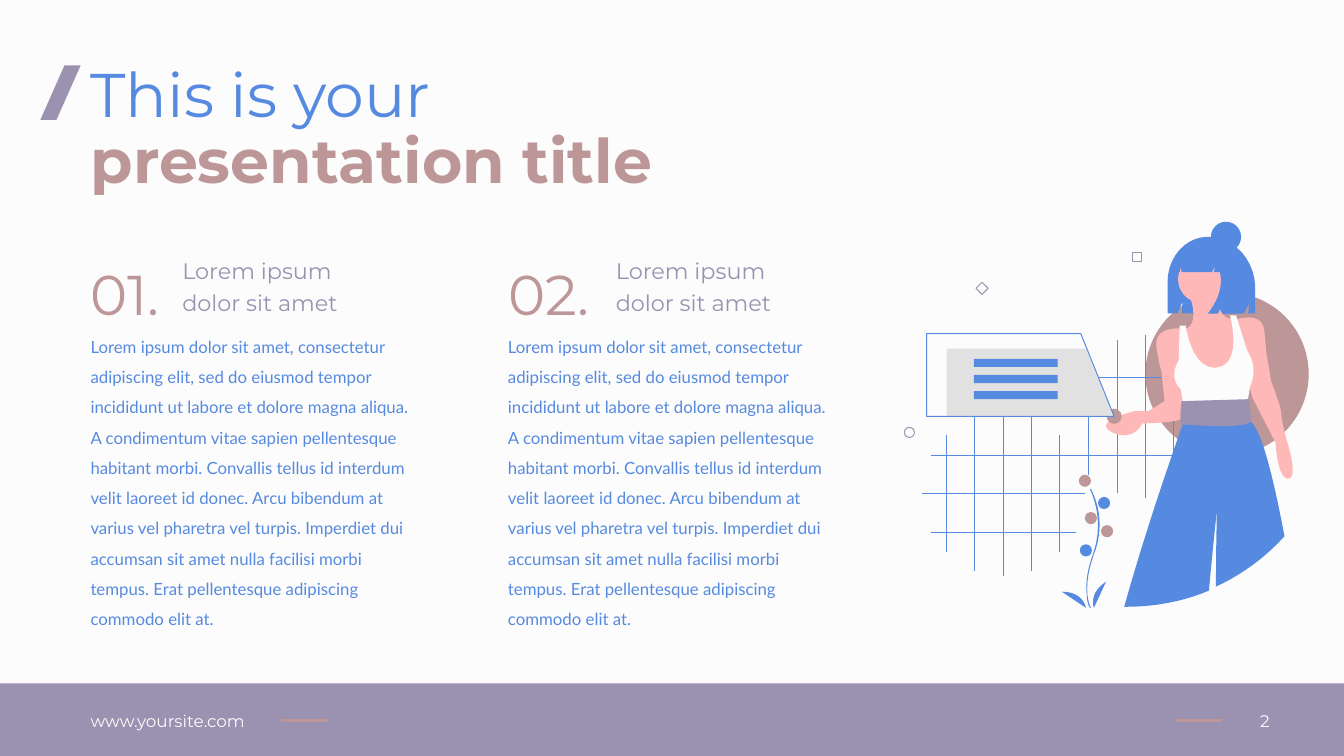
from pptx import Presentation
from pptx import util as u
from pptx.dml import color
from pptx.enum import shapes, text
from pptx.oxml import ns
from lxml import etree

BLUE, ROSE, MAUVE = "568AE0", "BD9698", "9A92B0"
SKIN, PAPER, GREY, DARK = "FFB8B8", "FCFCFC", "E1E1E1", "3F3D56"
KIND = shapes.MSO_SHAPE
HAIR = 0.72  # hairline width in points

BODY = (
    "Lorem ipsum dolor sit amet, consectetur adipiscing elit, sed do eiusmod tempor "
    "incididunt ut labore et dolore magna aliqua.\n"
    "A condimentum vitae sapien pellentesque habitant morbi. Convallis tellus id interdum "
    "velit laoreet id donec. Arcu bibendum at varius vel pharetra vel turpis. Imperdiet dui "
    "accumsan sit amet nulla facilisi morbi tempus. Erat pellentesque adipiscing commodo elit at."
)

# Outlines: M start, L line, C cubic curve
STEM = ("M 10.81 6.03 C 10.81 6.03 10.78 5.99 10.78 5.9 C 10.77 5.82 10.77 5.69 10.84 5.5 "
        "C 10.97 5.14 10.81 4.86 10.81 4.85 L 10.82 4.85 C 10.82 4.85 10.86 4.92 10.89 5.04 "
        "C 10.92 5.19 10.91 5.35 10.85 5.5 C 10.72 5.86 10.82 6.03 10.82 6.03")
LEAVES = ("M 10.85 6.03 C 10.85 6.03 10.79 5.89 10.97 5.77",
          "M 10.77 6.03 C 10.77 6.03 10.75 5.87 10.53 5.87")
BACK_HAIR = ("M 11.98 2.35 C 11.76 2.35 11.58 2.55 11.58 2.8 L 11.58 3.11 L 11.68 3.11 "
             "L 11.73 2.99 L 11.72 3.11 L 12.34 3.11 L 12.39 3.01 L 12.38 3.11 L 12.45 3.11 "
             "L 12.45 2.86 C 12.45 2.58 12.24 2.35 11.98 2.35")
NECK = ("M 11.79 2.91 C 11.79 2.91 11.92 3.21 11.75 3.27 L 11.92 3.82 L 12.2 3.81 L 12.28 3.62 "
        "L 12.26 3.34 L 12.24 3.16 C 12.24 3.16 12.06 3.2 12.08 2.89")
LEFT_ARM = ("M 11.72 3.26 C 11.72 3.26 11.44 3.23 11.47 3.44 C 11.5 3.64 11.52 3.68 11.52 3.68 "
            "L 11.55 3.98 L 11.39 4.08 L 11.25 4.08 C 11.25 4.08 10.81 4.18 11.03 4.29 "
            "C 11.25 4.39 11.33 4.2 11.33 4.2 C 11.33 4.2 11.73 4.2 11.76 4.13 "
            "C 11.78 4.07 11.72 3.26 11.72 3.26")
RIGHT_ARM = ("M 12.26 3.17 C 12.26 3.17 12.52 3.08 12.54 3.28 C 12.56 3.49 12.56 3.5 12.56 3.5 "
             "L 12.61 3.79 C 12.61 3.79 12.71 4.04 12.71 4.12 C 12.71 4.19 12.78 4.43 12.78 4.43 "
             "C 12.78 4.43 12.88 4.76 12.77 4.75 C 12.67 4.74 12.65 4.39 12.65 4.39 "
             "L 12.42 3.94 L 12.35 3.66")
TOP = ("M 11.76 3.23 L 11.7 3.23 L 11.69 3.58 C 11.69 3.58 11.58 3.73 11.71 3.86 L 11.75 4.08 "
       "L 12.36 4.06 L 12.4 3.83 C 12.4 3.83 12.49 3.65 12.37 3.48 L 12.26 3.13 L 12.2 3.13 "
       "C 12.2 3.13 12.34 3.64 12.05 3.65 C 11.81 3.65 11.76 3.23 11.76 3.23")
TROUSERS = ("M 12.74 5.32 C 12.55 5.53 12.32 5.7 12.06 5.82 C 12.06 5.4 12.07 5.06 12.07 5.06 "
            "C 12.07 5.06 12.03 5.42 11.99 5.86 C 11.73 5.97 11.45 6.02 11.17 6.02 L 11.15 6.02 "
            "C 11.38 5.19 11.72 4.24 11.73 4.21 L 11.78 4.04 L 12.33 4.02 L 12.34 4.06 "
            "L 12.4 4.18 C 12.51 4.25 12.63 4.74 12.74 5.32")
BELT = ("M 12.39 3.96 L 11.72 3.98 C 11.72 3.98 11.69 4.21 11.72 4.21 "
        "C 11.73 4.21 12.42 4.27 12.41 4.17 C 12.4 4.07 12.39 3.96 12.39 3.96")
FRINGE = ("M 12.1 2.47 C 12.06 2.42 12 2.39 11.93 2.39 C 11.77 2.39 11.65 2.52 11.65 2.7 "
          "L 11.7 2.7 L 11.71 2.63 L 11.72 2.7 L 12.02 2.7 L 12.05 2.64 L 12.04 2.7 L 12.1 2.7 "
          "C 12.13 2.83 12.09 2.97 11.98 3.11 L 12.08 3.11 L 12.13 3 L 12.12 3.11 L 12.32 3.11 "
          "L 12.35 2.87 C 12.35 2.68 12.25 2.53 12.1 2.47")


def rgb(value):
    return color.RGBColor.from_string(value)


def inch(value):
    return u.Cm(value * 2.54)


def outline_points(outline, steps=10):
    """Turn an outline into points, with each curve cut into short lines."""
    points = []
    for part in outline.replace("C", "|").replace("L", "|").strip("M ").split("|"):
        n = [float(v) for v in part.split()]
        pairs = list(zip(n[::2], n[1::2]))
        if len(pairs) == 1:
            points += pairs
            continue
        a, (b, c, d) = points[-1], pairs
        for i in range(1, steps + 1):
            t = i / steps
            points.append(tuple(
                (1 - t) ** 3 * a[k] + 3 * t * (1 - t) ** 2 * b[k]
                + 3 * t * t * (1 - t) * c[k] + t ** 3 * d[k] for k in (0, 1)))
    return [(inch(x), inch(y)) for x, y in points]


class Deck:
    def __init__(self):
        self.prs = Presentation()
        self.prs.slide_width, self.prs.slide_height = inch(13.33), inch(7.5)
        self.s = self.prs.slides.add_slide(self.prs.slide_layouts[6])
        fill = self.s.background.fill
        fill.solid()
        fill.fore_color.rgb = rgb(PAPER)

    def style(self, sp, fill=None, line=None):
        sp.shadow.inherit = False
        for target, value in ((sp.fill, fill), (sp.line.fill, line)):
            if value:
                target.solid()
                target.fore_color.rgb = rgb(value)
            else:
                target.background()
        if line:
            sp.line.width = u.Pt(HAIR)

    def shape(self, kind, x, y, w, h, fill=None, line=None):
        sp = self.s.shapes.add_shape(kind, inch(x), inch(y), inch(w), inch(h))
        self.style(sp, fill, line)

    def dot(self, cx, cy, d, fill):
        self.shape(KIND.OVAL, cx - d / 2, cy - d / 2, d, d, fill)

    def free(self, outline, fill=None, line=None):
        points = outline_points(outline)
        builder = self.s.shapes.build_freeform(*points[0])
        builder.add_line_segments(points[1:], close=True)
        self.style(builder.convert_to_shape(), fill, line)

    def line(self, x1, y1, x2, y2, col, width=HAIR):
        c = self.s.shapes.add_connector(
            shapes.MSO_CONNECTOR.STRAIGHT, inch(x1), inch(y1), inch(x2), inch(y2))
        c.line.color.rgb = rgb(col)
        c.line.width = u.Pt(width)
        etree.SubElement(c.element.spPr, ns.qn("a:effectLst"))

    def grid(self, cx, cy, dark_column=None, dark_row=None):
        for i, half in enumerate((0.58, 0.76, 0.81, 0.76, 0.58)):
            x = cx + (i - 2) * 0.28
            self.line(x, cy - half, x, cy + half, DARK if i == dark_column else BLUE)
        for i, half in enumerate((0.72, 0.81, 0.72)):
            y = cy + (i - 1) * 0.385
            self.line(cx - half, y, cx + half, y, DARK if i == dark_row else BLUE)

    def text(self, words, x, y, w, h, size=12, col=BLUE, font="Montserrat", bold=False,
             spacing=1.0, align=text.PP_ALIGN.LEFT, anchor=text.MSO_ANCHOR.TOP):
        tf = self.s.shapes.add_textbox(inch(x), inch(y), inch(w), inch(h)).text_frame
        tf.word_wrap = True
        tf.vertical_anchor = anchor
        for i, words_line in enumerate(words.split("\n")):
            p = tf.add_paragraph() if i else tf.paragraphs[0]
            p.alignment, p.line_spacing = align, spacing
            r = p.add_run()
            r.text = words_line
            r.font.name, r.font.size, r.font.bold = font, u.Pt(size), bold
            r.font.color.rgb = rgb(col)


def main():
    d = Deck()

    # Footer
    middle = text.MSO_ANCHOR.MIDDLE
    d.shape(KIND.RECTANGLE, 0, 6.78, 13.33, 0.72, MAUVE)
    d.text("2", 12.12, 6.95, 0.57, 0.4, col=PAPER, align=text.PP_ALIGN.RIGHT, anchor=middle)
    d.text("www.yoursite.com", 0.8, 6.95, 1.99, 0.4, col=PAPER, anchor=middle)
    for x in (2.79, 11.66):
        d.line(x, 7.15, x + 0.46, 7.15, ROSE, 2.25)

    # Title
    d.text("This is your", 0.8, 0.51, 8.27, 0.84, size=44)
    d.text("presentation title", 0.8, 1.16, 5.94, 0.84, size=44, col=ROSE, bold=True)
    d.free("M 0.56 1.19 L 0.4 1.19 L 0.64 0.65 L 0.8 0.65", MAUVE)

    # Numbered columns
    for number, x, heading_x in (("01.", 0.8, 1.71), ("02.", 4.94, 6.01)):
        d.text(number, x, 2.39, 1.08, 0.85, size=40, col=ROSE, spacing=1.2)
        d.text("Lorem ipsum\ndolor sit amet", heading_x, 2.45, 2.56, 0.72,
               size=16, col=MAUVE, spacing=1.2)
        d.text(BODY, x, 3.19, 3.5, 2.79, font="Lato", spacing=1.5)

    # Plant
    d.free(STEM, BLUE)
    for x, y, col in ((10.76, 4.77, ROSE), (10.95, 4.99, BLUE), (10.82, 5.14, ROSE),
                      (10.98, 5.27, ROSE), (10.77, 5.46, BLUE)):
        d.dot(x, y, 0.12, col)
    for leaf in LEAVES:
        d.free(leaf, BLUE)

    # Grids and disc
    d.grid(9.95, 4.9)
    d.dot(12.17, 3.71, 1.62, ROSE)
    d.grid(11.36, 4.13, dark_column=4, dark_row=1)

    # Woman
    for outline, col in ((BACK_HAIR, BLUE), (NECK, SKIN), (LEFT_ARM, SKIN), (RIGHT_ARM, SKIN),
                         (TOP, PAPER), (TROUSERS, BLUE), (BELT, MAUVE)):
        d.free(outline, col)
    d.dot(11.92, 2.77, 0.47, SKIN)
    d.free(FRINGE, BLUE)
    d.dot(12.16, 2.35, 0.3, BLUE)

    # Panel
    d.dot(11.05, 4.13, 0.15, ROSE)
    d.free("M 11.05 4.13 L 9.39 4.13 L 9.39 3.46 L 10.77 3.46", GREY)
    d.free("M 11.05 4.13 L 9.19 4.13 L 9.19 3.31 L 10.72 3.31", line=BLUE)
    for i in range(3):
        d.shape(KIND.RECTANGLE, 9.66, 3.56 + i * 0.16, 0.83, 0.08, BLUE)

    # Small outlined marks
    for kind, x, y, size in ((KIND.OVAL, 8.97, 4.24, 0.1), (KIND.RECTANGLE, 11.23, 2.5, 0.09),
                             (KIND.DIAMOND, 9.68, 2.8, 0.12)):
        d.shape(kind, x, y, size, size, line=MAUVE)

    d.prs.save("out.pptx")


if __name__ == "__main__":
    main()
